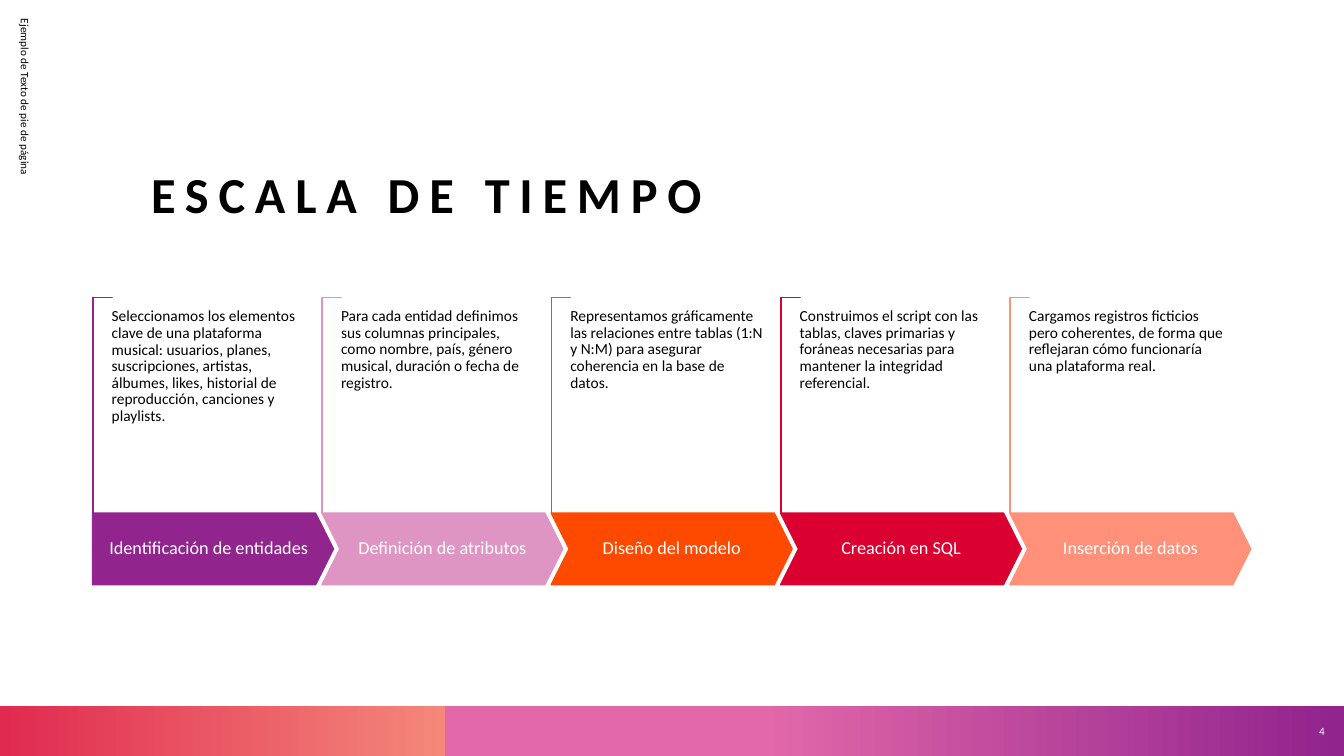
from pptx import Presentation
from pptx.dml.color import RGBColor
from pptx.enum.shapes import MSO_SHAPE
from pptx.enum.text import MSO_ANCHOR, PP_ALIGN
from pptx.util import Pt

RECTANGLE, BRACKET = MSO_SHAPE.RECTANGLE, MSO_SHAPE.CORNER
PENTAGON, CHEVRON = MSO_SHAPE.PENTAGON, MSO_SHAPE.CHEVRON
TOP, MIDDLE, BOTTOM = MSO_ANCHOR.TOP, MSO_ANCHOR.MIDDLE, MSO_ANCHOR.BOTTOM
LEFT, CENTER, RIGHT = PP_ALIGN.LEFT, PP_ALIGN.CENTER, PP_ALIGN.RIGHT

COLORS = {
    "black": "000000", "white": "FFFFFF",
    "purple": "92248E", "pink": "DE95C4", "orange": "FE4A00",
    "red": "DA002F", "salmon": "FF907A",
    "band red": "E02B50", "band salmon": "F4877A", "band pink": "E268A9",
}
STEPS = [
    ("purple", "Identificación de entidades",
     "Seleccionamos los elementos clave de una plataforma musical: usuarios, planes, "
     "suscripciones, artistas, álbumes, likes, historial de reproducción, canciones y playlists."),
    ("pink", "Definición de atributos",
     "Para cada entidad definimos sus columnas principales, como nombre, país, género "
     "musical, duración o fecha de registro."),
    ("orange", "Diseño del modelo",
     "Representamos gráficamente las relaciones entre tablas (1:N y N:M) para asegurar "
     "coherencia en la base de datos."),
    ("red", "Creación en SQL",
     "Construimos el script con las tablas, claves primarias y foráneas necesarias para "
     "mantener la integridad referencial."),
    ("salmon", "Inserción de datos",
     "Cargamos registros ficticios pero coherentes, de forma que reflejaran cómo "
     "funcionaría una plataforma real."),
]


def write(shape, text, size, color, align=LEFT, anchor=TOP, margins=(7.2, 3.6), spacing=1.0):
    """Fill a shape with one styled paragraph; margins are (sides, top and bottom)."""
    frame = shape.text_frame
    frame.word_wrap = True
    frame.vertical_anchor = anchor
    frame.margin_left = frame.margin_right = Pt(margins[0])
    frame.margin_top = frame.margin_bottom = Pt(margins[1])
    frame.text = text
    paragraph = frame.paragraphs[0]
    paragraph.alignment = align
    paragraph.line_spacing = spacing
    span = paragraph.runs[0]
    span.font.name = "Calibri"
    span.font.size = Pt(size)
    span.font.color.rgb = RGBColor.from_string(COLORS[color])
    return span


def add_outlined(kind, left, top, width, height, fill, line):
    shape = page.shapes.add_shape(kind, Pt(left), Pt(top), Pt(width), Pt(height))
    shape.shadow.inherit = False
    shape.fill.solid()
    shape.fill.fore_color.rgb = RGBColor.from_string(COLORS[fill])
    shape.line.color.rgb = RGBColor.from_string(COLORS[line])
    shape.line.width = Pt(1)
    return shape


deck = Presentation()
deck.slide_width, deck.slide_height = Pt(960), Pt(540)
page = deck.slides.add_slide(deck.slide_layouts[6])

# Footer band: left, width, then start and end of the gradient
for left, width, *stops in [
    (0, 960, (0, "band red"), (0.33, "band salmon")),
    (318, 642, (0.35, "band pink"), (0.99, "purple")),
]:
    band = page.shapes.add_shape(RECTANGLE, Pt(left), Pt(504.5), Pt(width), Pt(35.5))
    band.shadow.inherit = False
    band.line.fill.background()
    band.fill.gradient()
    band.fill.gradient_angle = 0
    for stop, (position, color) in zip(band.fill.gradient_stops, stops):
        stop.position = position
        stop.color.rgb = RGBColor.from_string(COLORS[color])

title = page.shapes.add_textbox(Pt(108), Pt(62.6), Pt(806.4), Pt(97.2))
title_span = write(title, "ESCALA DE TIEMPO", 36, "black", anchor=BOTTOM, margins=(0, 0))
title_span.font.bold = True
title_span.font._element.set("spc", "700")

footer = page.shapes.add_textbox(Pt(-144), Pt(150.5), Pt(324), Pt(36))
footer.rotation = 90
write(footer, "Ejemplo de Texto de pie de página", 8, "black", anchor=MIDDLE)

# Timeline: each step has a bracket, an arrow and a description
FIRST_LEFT, STEP = 66.2, 163.8
ARROW_TOP, ARROW_WIDTH, ARROW_HEIGHT = 366.5, 172, 51.2
BRACKET_LENGTH, BRACKET_DEPTH = 154, 13.8
for index, (color, label, description) in enumerate(STEPS):
    left = FIRST_LEFT + index * STEP
    # Turned a quarter, the bracket stands on the arrow's left edge
    bracket = add_outlined(
        BRACKET,
        left + (BRACKET_DEPTH - BRACKET_LENGTH) / 2,
        ARROW_TOP - (BRACKET_LENGTH + BRACKET_DEPTH) / 2,
        BRACKET_LENGTH, BRACKET_DEPTH, "white", color)
    bracket.rotation = 90
    for corner_side in range(2):
        bracket.adjustments[corner_side] = 0.01

    arrow = add_outlined(CHEVRON if index else PENTAGON, left, ARROW_TOP,
                         ARROW_WIDTH, ARROW_HEIGHT, color, color)
    arrow.adjustments[0] = 0.25
    write(arrow, label, 13, "white", CENTER, MIDDLE, (6.5, 13), 0.9)

    box = page.shapes.add_textbox(Pt(left + 13.6), Pt(220.3), Pt(139.7),
                                  Pt(105.8 if index else 137.5))
    write(box, description, 11, "black", margins=(0, 0), spacing=0.9)

number = page.shapes.add_textbox(Pt(918.7), Pt(504.5), Pt(34.6), Pt(35.3))
write(number, "4", 8, "white", RIGHT, MIDDLE)

deck.save("out.pptx")
